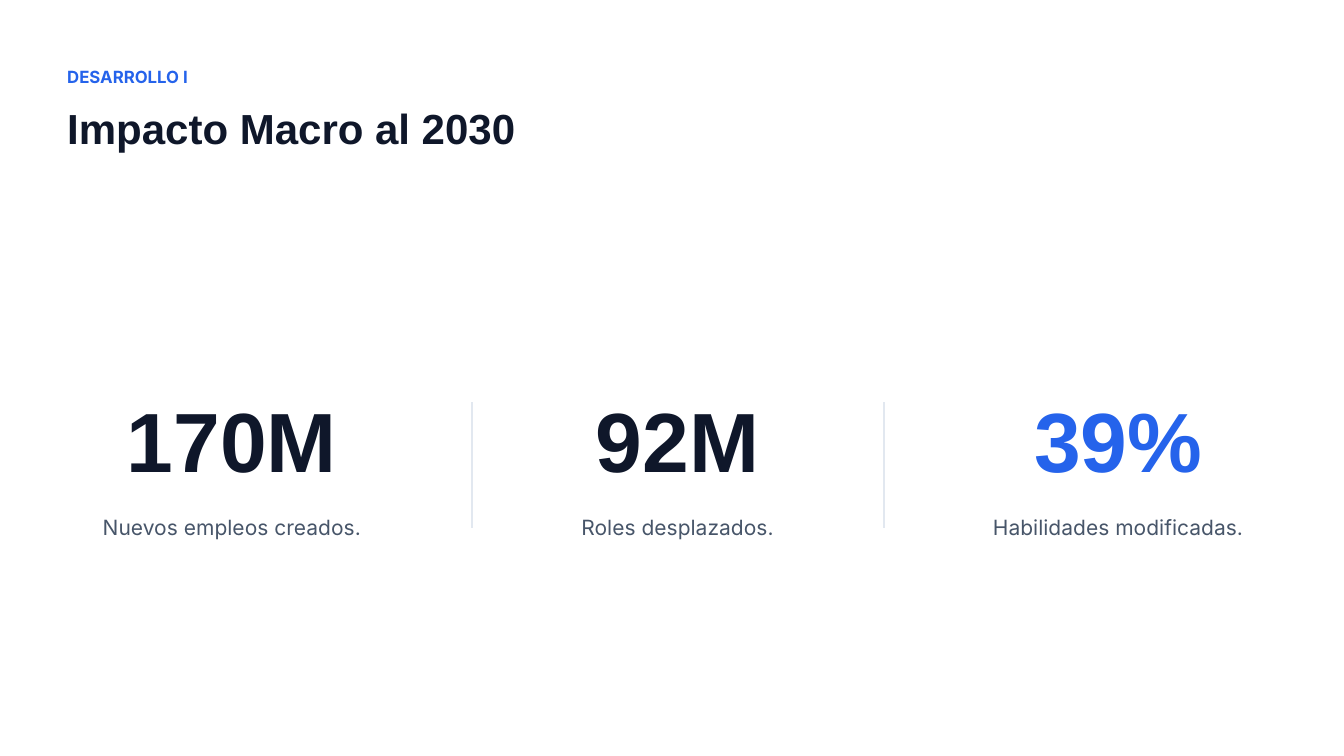
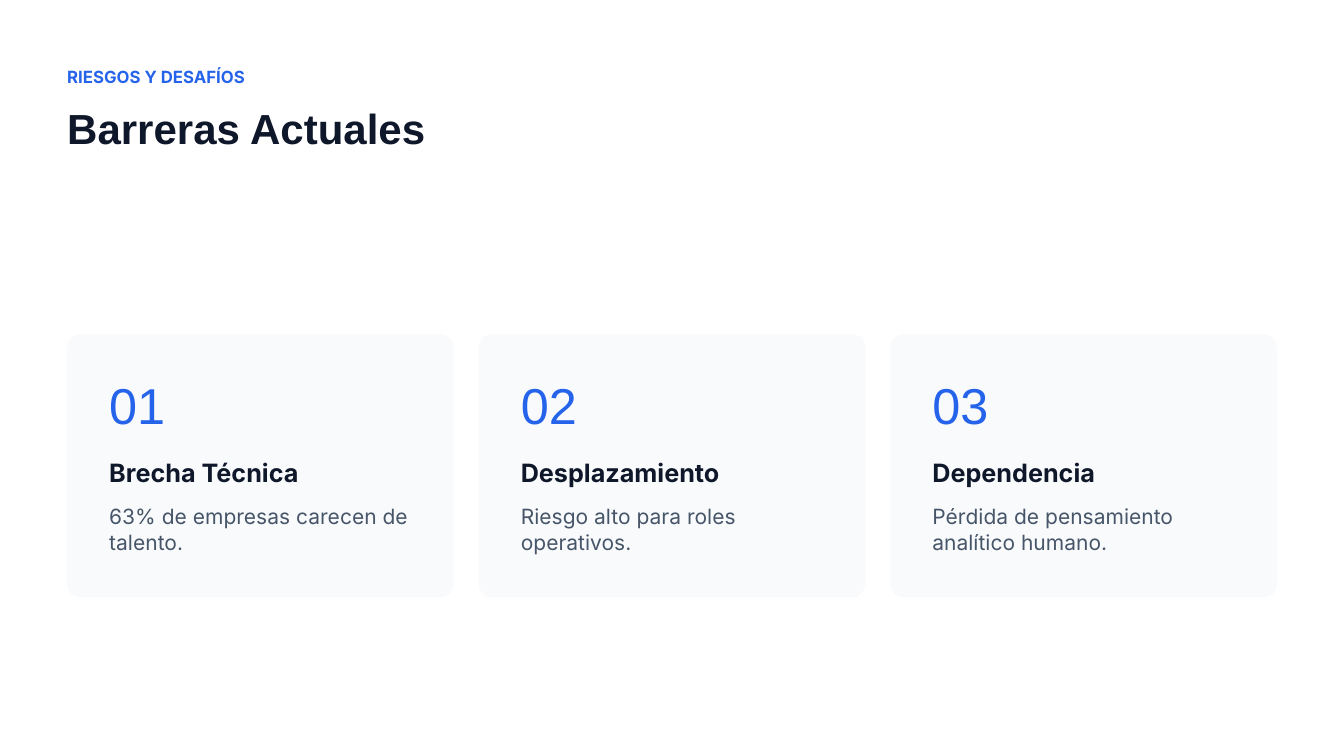
from pptx import Presentation
from pptx.dml.color import RGBColor
from pptx.enum.shapes import MSO_CONNECTOR, MSO_SHAPE
from pptx.enum.text import MSO_ANCHOR, MSO_AUTO_SIZE, PP_ALIGN
from pptx.oxml.ns import qn
from pptx.util import Pt
from lxml import etree

LEFT, CENTER = PP_ALIGN.LEFT, PP_ALIGN.CENTER
TOP = MSO_ANCHOR.TOP
NO_AUTOSIZE = MSO_AUTO_SIZE.NONE
STRAIGHT = MSO_CONNECTOR.STRAIGHT
ROUNDED = MSO_SHAPE.ROUNDED_RECTANGLE

WHITE = RGBColor(0xFF, 0xFF, 0xFF)
BLUE = RGBColor(0x25, 0x63, 0xEB)
NAVY = RGBColor(0x0F, 0x17, 0x2A)
SLATE = RGBColor(0x47, 0x55, 0x69)
RULE = RGBColor(0xE2, 0xE8, 0xF0)
PANEL = RGBColor(0xF8, 0xFA, 0xFC)

HEADING_FONT, BODY_FONT = "Arial", "Inter"
LINE_FACTOR = 1.2

# Page and three-column grid, in points
SLIDE_WIDTH, SLIDE_HEIGHT = 1440, 810
MARGIN, GAP, COLUMNS = 72, 27, 3
COLUMN_WIDTH = (SLIDE_WIDTH - 2 * MARGIN - (COLUMNS - 1) * GAP) / COLUMNS
COLUMN_STEP = COLUMN_WIDTH + GAP

TITLE_ONLY_LAYOUT = 5

# Left and width of each figure, then its texts and colour
STATS = [
    (73, 351, "170M", "Nuevos empleos creados.", NAVY),
    (597, 258, "92M", "Roles desplazados.", NAVY),
    (1030, 336, "39%", "Habilidades modificadas.", BLUE),
]
STATS_TOP = 416

BARRIERS = [
    ("Brecha Técnica", "63% de empresas carecen de talento."),
    ("Desplazamiento", "Riesgo alto para roles operativos."),
    ("Dependencia", "Pérdida de pensamiento analítico humano."),
]
CARD_TOP, CARD_HEIGHT, CARD_RADIUS, CARD_PADDING = 358.5, 281.25, 13.5, 45


def write_text(shape, text, font_name, size, color, bold=False, align=LEFT):
    """Fill a text shape with one paragraph in the deck's text style."""
    frame = shape.text_frame
    frame.word_wrap = True
    frame.auto_size = NO_AUTOSIZE
    frame.vertical_anchor = TOP
    frame.margin_left = frame.margin_top = 0
    frame.margin_right = frame.margin_bottom = 0
    paragraph = frame.paragraphs[0]
    paragraph.alignment = align
    paragraph.line_spacing = Pt(size * LINE_FACTOR)
    paragraph.space_before = Pt(0)
    run = paragraph.add_run()
    run.text = text
    run.font.name = font_name
    run.font.size = Pt(size)
    run.font.bold = bold
    run.font.color.rgb = color


def add_label(slide, left, top, width, height, *style, **options):
    box = slide.shapes.add_textbox(Pt(left), Pt(top), Pt(width), Pt(height))
    write_text(box, *style, **options)


def add_titled_slide(presentation, section, title_text):
    """Start a slide with its section label and title."""
    slide = presentation.slides.add_slide(
        presentation.slide_layouts[TITLE_ONLY_LAYOUT])
    slide.background.fill.solid()
    slide.background.fill.fore_color.rgb = WHITE
    header_width = SLIDE_WIDTH - MARGIN
    add_label(slide, MARGIN, 72, header_width, 22.5,
              section, BODY_FONT, 18, BLUE, bold=True)
    title = slide.shapes.title
    title.left, title.top = Pt(MARGIN), Pt(110)
    title.width, title.height = Pt(header_width), Pt(60)
    write_text(title, title_text, HEADING_FONT, 45, NAVY, bold=True)
    return slide


def add_divider(slide, x, top, height):
    line = slide.shapes.add_connector(
        STRAIGHT, Pt(x), Pt(top), Pt(x), Pt(top + height))
    line.line.color.rgb = RULE
    line.line.width = Pt(2.25)
    etree.SubElement(line._element.spPr, qn("a:effectLst"))


def add_stat(slide, left, top, width, figure, caption, color):
    add_label(slide, left, top, width, 118,
              figure, HEADING_FONT, 90, color, bold=True, align=CENTER)
    add_label(slide, left, top + 135, width, 28,
              caption, BODY_FONT, 22.5, SLATE, align=CENTER)


def add_card(slide, left, top, width, height, number, heading, detail):
    card = slide.shapes.add_shape(
        ROUNDED, Pt(left), Pt(top), Pt(width), Pt(height))
    card.adjustments[0] = CARD_RADIUS / min(width, height)
    card.shadow.inherit = False
    card.fill.solid()
    card.fill.fore_color.rgb = PANEL
    card.line.fill.background()
    text_left = left + CARD_PADDING
    add_label(slide, text_left, top + 42.5, 405, 70.5,
              number, HEADING_FONT, 54, BLUE)
    add_label(slide, text_left, top + 131, 425.5, 32.5,
              heading, BODY_FONT, 27, NAVY, bold=True)
    add_label(slide, text_left, top + 181.5, 335.5, 55,
              detail, BODY_FONT, 22.5, SLATE)


def build_impact_slide(presentation):
    slide = add_titled_slide(presentation, "DESARROLLO I",
                             "Impacto Macro al 2030")
    # Dividers between the figures
    for index in range(COLUMNS - 1):
        add_divider(slide, 505.8 + index * COLUMN_STEP, STATS_TOP + 15.25, 135)
    # Key figures
    for left, width, figure, caption, color in STATS:
        add_stat(slide, left, STATS_TOP, width, figure, caption, color)


def build_barriers_slide(presentation):
    slide = add_titled_slide(presentation, "RIESGOS Y DESAFÍOS",
                             "Barreras Actuales")
    # Numbered cards
    for index, (heading, detail) in enumerate(BARRIERS):
        add_card(slide, MARGIN + index * COLUMN_STEP, CARD_TOP, COLUMN_WIDTH,
                 CARD_HEIGHT, f"{index + 1:02d}", heading, detail)


def main():
    presentation = Presentation()
    presentation.slide_width = Pt(SLIDE_WIDTH)
    presentation.slide_height = Pt(SLIDE_HEIGHT)
    build_impact_slide(presentation)
    build_barriers_slide(presentation)
    presentation.save("out.pptx")


if __name__ == "__main__":
    main()
